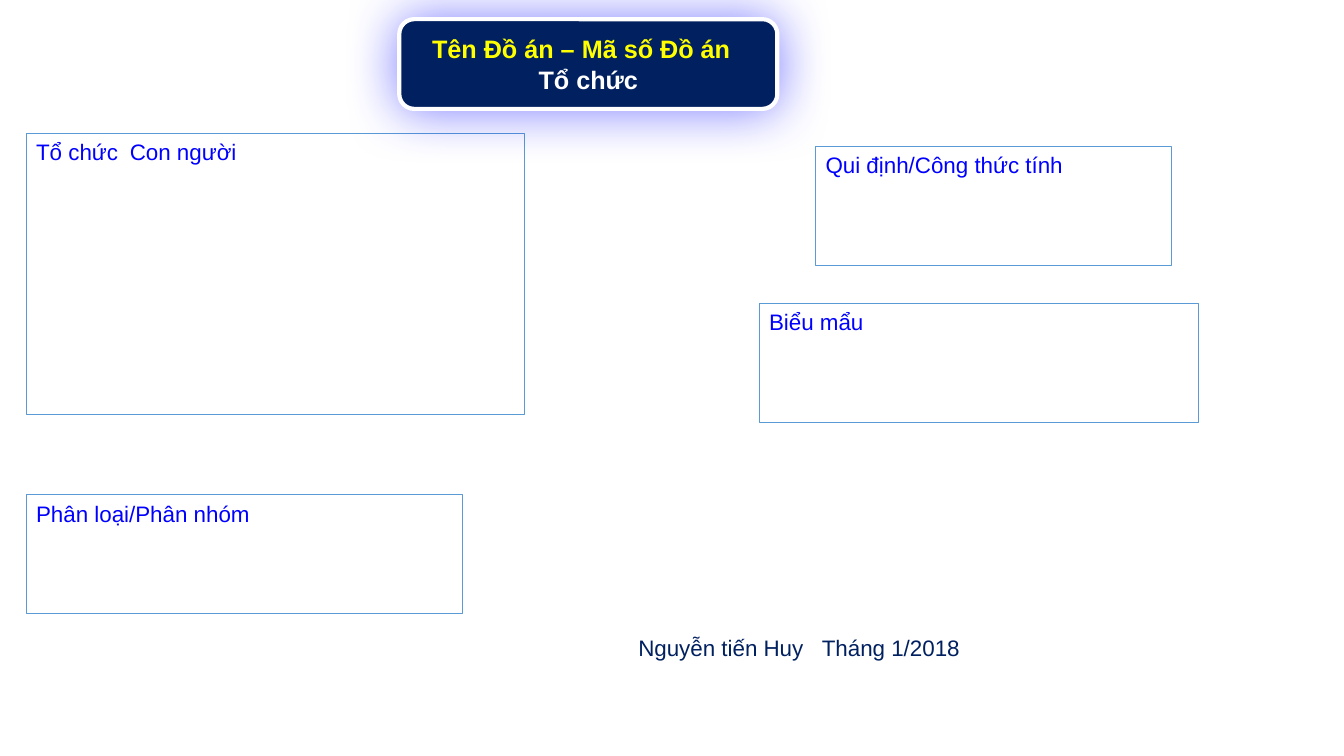
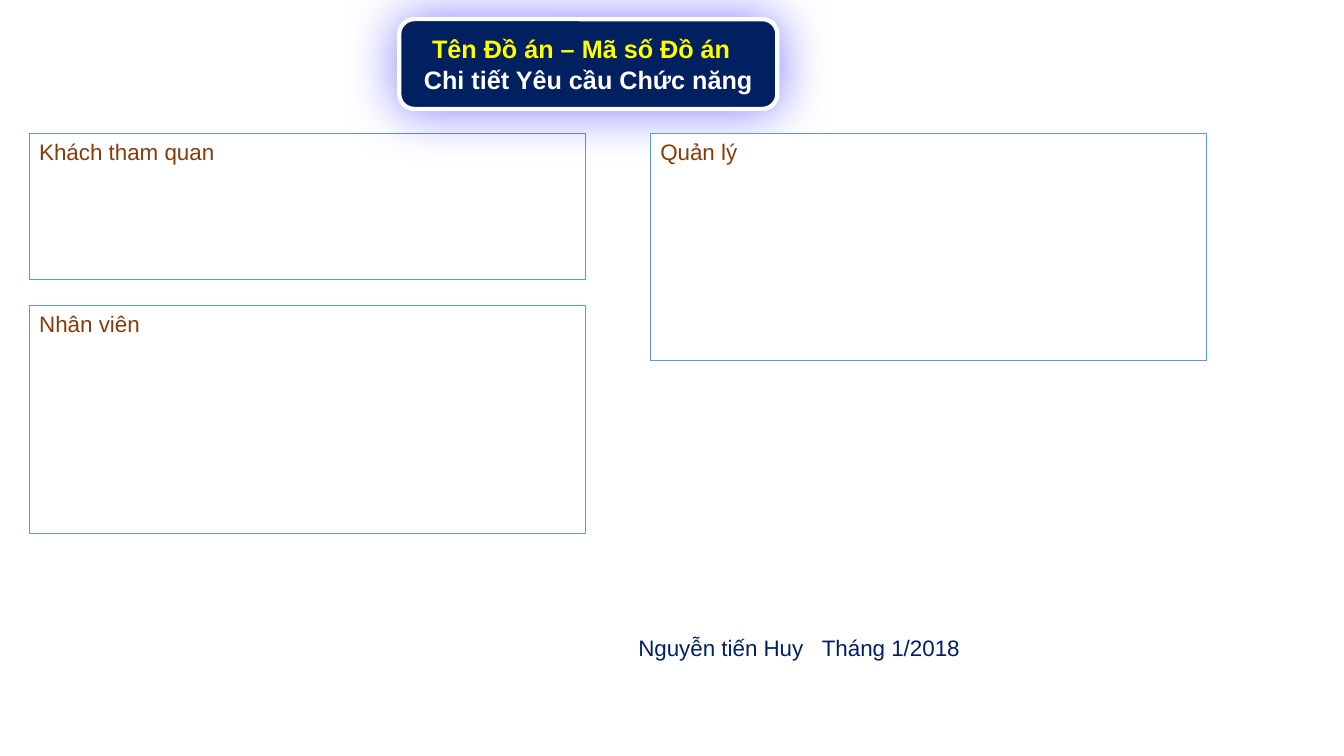
from dataclasses import dataclass

from lxml import etree
from pptx import Presentation
from pptx.dml.color import RGBColor
from pptx.enum import shapes, text
from pptx.oxml.ns import qn
from pptx.util import Inches, Pt

# Shared look
FONT = "Arial"
WHITE, NAVY, YELLOW = "FFFFFF", "002060", "FFFF00"
BLUE, BROWN, BORDER = "0000FF", "843C0B", "5B9BD5"
PROJECT = "Tên Đồ án – Mã số Đồ án"
FOOTER = "Nguyễn tiến Huy\tTháng 1/2018"
TITLE_SHIFT = 0.14


@dataclass
class Panel:
    label: str
    left: float
    top: float
    width: float
    height: float
    tab: float = 0


@dataclass
class Sheet:
    subtitle: str
    label_color: str
    panels: list[Panel]


SHEETS = [
    Sheet("Tổ chức", BLUE, [
        Panel("Tổ chức\tCon người", 0.26, 1.32, 4.94, 2.79, tab=0.93),
        Panel("Phân loại/Phân nhóm", 0.26, 4.91, 4.33, 1.18),
        Panel("Qui định/Công thức tính", 8.09, 1.45, 3.53, 1.18),
        Panel("Biểu mẩu", 7.53, 3.01, 4.36, 1.18),
    ]),
    Sheet("Chi tiết Yêu cầu Chức năng", BROWN, [
        Panel("Khách tham quan", 0.29, 1.32, 5.52, 1.45),
        Panel("Nhân viên", 0.29, 3.03, 5.52, 2.26),
        Panel("Quản lý", 6.45, 1.32, 5.52, 2.26),
    ]),
]


def rgb(color: str) -> RGBColor:
    return RGBColor.from_string(color)


def style_text(para, color: str, size: float, bold: bool = False) -> None:
    font = para.font
    font.name, font.size, font.bold = FONT, Pt(size), bold
    font.color.rgb = rgb(color)


def add_tab(para, position: float) -> None:
    tabs = etree.SubElement(para._p.get_or_add_pPr(), qn("a:tabLst"))
    etree.SubElement(tabs, qn("a:tab"), pos=str(Inches(position)), algn="l")


def add_box(page, kind, left: float, top: float, width: float, height: float,
            fill: str, line: str, weight: float):
    box = page.shapes.add_shape(kind, Inches(left), Inches(top), Inches(width), Inches(height))
    box.fill.solid()
    box.fill.fore_color.rgb = rgb(fill)
    box.line.color.rgb = rgb(line)
    box.line.width = Pt(weight)
    box.shadow.inherit = False
    box.text_frame.word_wrap = True
    return box


def add_panel(page, panel: Panel, color: str) -> None:
    box = add_box(page, shapes.MSO_SHAPE.RECTANGLE, panel.left, panel.top,
                  panel.width, panel.height, WHITE, BORDER, 0.75)
    frame = box.text_frame
    frame.vertical_anchor = text.MSO_ANCHOR.TOP
    para = frame.paragraphs[0]
    para.text = panel.label
    para.alignment = text.PP_ALIGN.LEFT
    if panel.tab:
        add_tab(para, panel.tab)
    style_text(para, color, 16)


def add_glow(box) -> None:
    effects = box._element.spPr.find(qn("a:effectLst"))
    shadow = etree.SubElement(effects, qn("a:outerShdw"), blurRad=str(Pt(38)), dist="0",
                              dir="5400000", algn="ctr", rotWithShape="0")
    color = etree.SubElement(shadow, qn("a:srgbClr"), val=BLUE)
    etree.SubElement(color, qn("a:alpha"), val="49000")


def add_title(page, subtitle: str) -> None:
    box = add_box(page, shapes.MSO_SHAPE.ROUNDED_RECTANGLE, 3.96, 0.19, 3.75, 0.89,
                  NAVY, WHITE, 3)
    add_glow(box)
    frame = box.text_frame
    frame.vertical_anchor = text.MSO_ANCHOR.MIDDLE
    # The project name sits slightly left of the centred subtitle
    frame.margin_left, frame.margin_right = 0, Inches(TITLE_SHIFT)
    lines = [(PROJECT, YELLOW, 0), (subtitle, WHITE, TITLE_SHIFT)]
    for index, (wording, color, indent) in enumerate(lines):
        para = frame.add_paragraph() if index else frame.paragraphs[0]
        para.text = wording
        para.alignment = text.PP_ALIGN.CENTER
        para._p.get_or_add_pPr().set("marL", str(Inches(indent)))
        style_text(para, color, 18, bold=True)


def add_footer(page) -> None:
    box = page.shapes.add_textbox(Inches(6.14), Inches(6.22), Inches(3.58), Inches(0.4))
    frame = box.text_frame
    frame.word_wrap = True
    frame.vertical_anchor = text.MSO_ANCHOR.MIDDLE
    frame.margin_left = Inches(0.19)
    para = frame.paragraphs[0]
    para.text = FOOTER
    add_tab(para, 1.82)
    style_text(para, NAVY, 16)


def main() -> None:
    deck = Presentation()
    deck.slide_width, deck.slide_height = Inches(13.33), Inches(7.5)
    for sheet in SHEETS:
        page = deck.slides.add_slide(deck.slide_layouts[6])
        # The title's glow falls over the first panel only
        first, *others = sheet.panels
        add_panel(page, first, sheet.label_color)
        add_title(page, sheet.subtitle)
        add_footer(page)
        for panel in others:
            add_panel(page, panel, sheet.label_color)
    deck.save("out.pptx")


if __name__ == "__main__":
    main()
